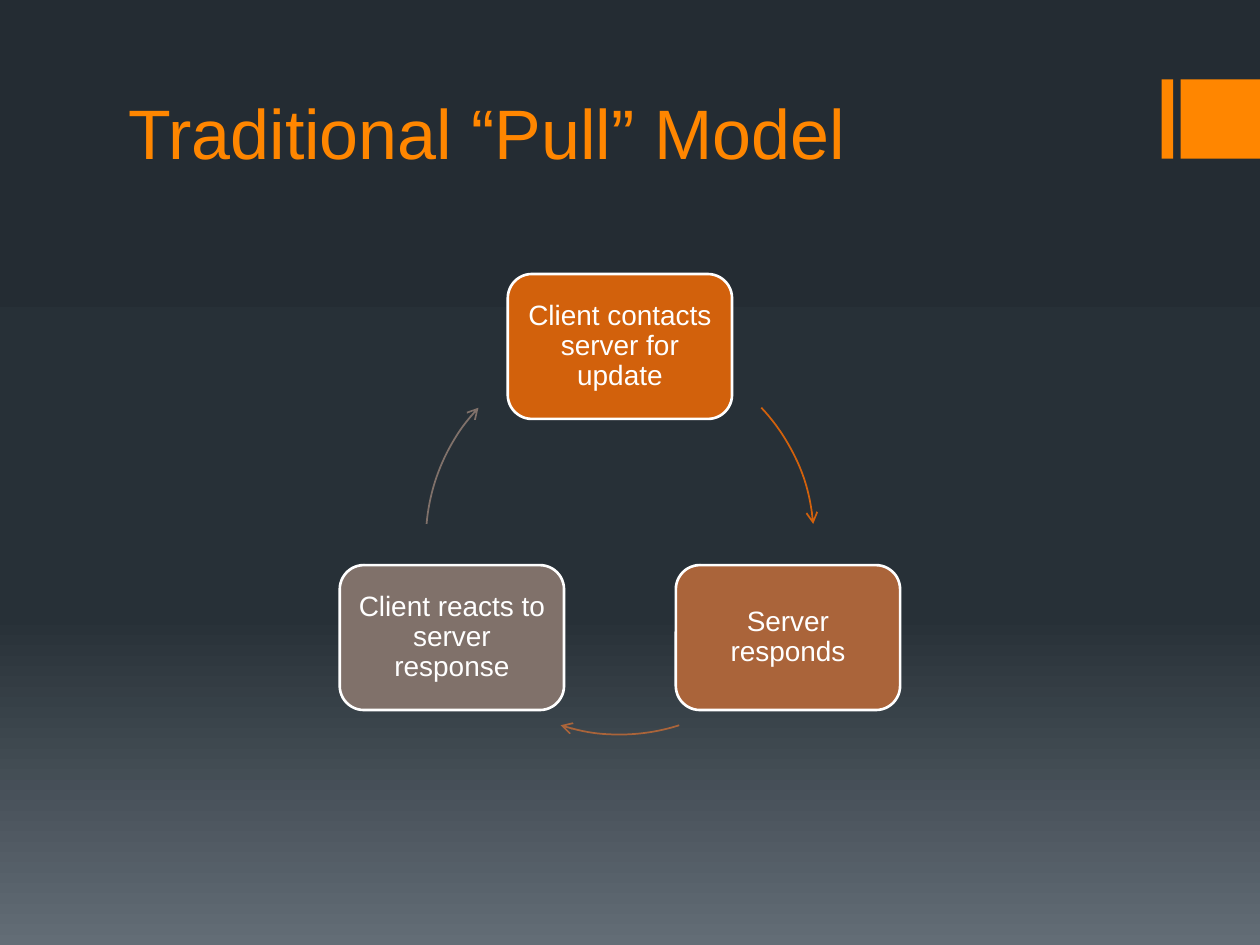
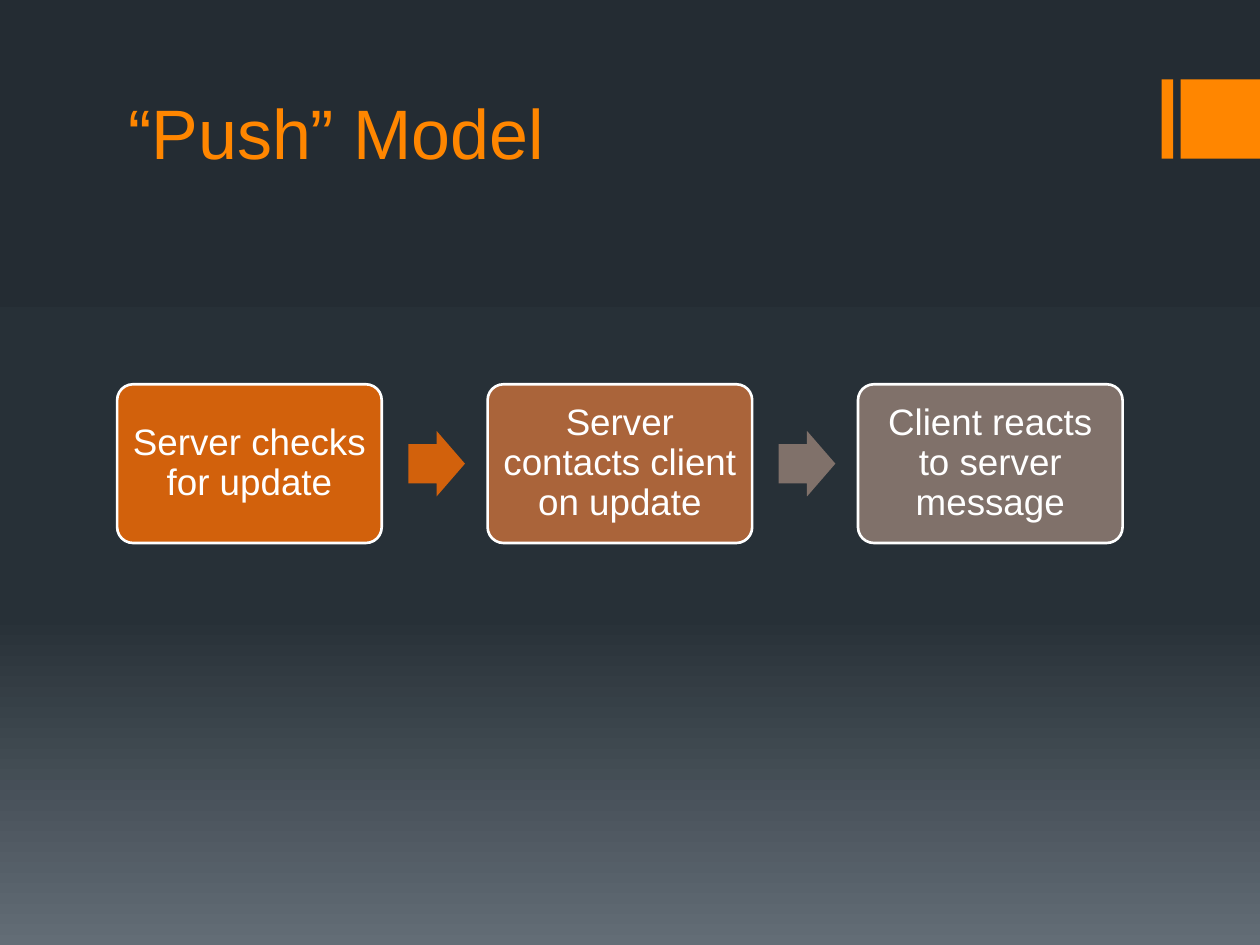
"""Build two slides that compare the pull and push update models."""
from copy import deepcopy
from dataclasses import dataclass
from math import cos, radians, sin

from lxml import etree
from pptx import Presentation
from pptx.dml.color import RGBColor
from pptx.enum.shapes import MSO_SHAPE
from pptx.enum.text import MSO_ANCHOR, PP_ALIGN
from pptx.oxml.ns import qn
from pptx.util import Inches, Pt

ARC = MSO_SHAPE.ARC
RECTANGLE = MSO_SHAPE.RECTANGLE
ROUNDED = MSO_SHAPE.ROUNDED_RECTANGLE
RIGHT_ARROW = MSO_SHAPE.RIGHT_ARROW
LEFT, CENTER = PP_ALIGN.LEFT, PP_ALIGN.CENTER
MIDDLE, BOTTOM = MSO_ANCHOR.MIDDLE, MSO_ANCHOR.BOTTOM
ADJUSTMENT_PER_DEGREE = 0.6


@dataclass(frozen=True)
class Theme:
    """Colours, font and type sizes shared by the slides."""
    font: str = "Arial"
    accent: str = "FF8600"
    white: str = "FFFFFF"
    steps: tuple = ("D2610C", "AA643A", "80716A")
    background: tuple = ((0, "242C33"), (0.65, "273037"), (1, "636D76"))
    title_size: int = 40
    cycle_size: int = 16
    process_size: int = 21


THEME = Theme()


def rgb(code):
    """Turn a hex code into a colour."""
    return RGBColor.from_string(code)


def write_text(shape, text, *, size, color=THEME.white, align=CENTER,
               anchor=MIDDLE, inset=None, line_spacing=None):
    """Put one formatted paragraph into a shape."""
    frame = shape.text_frame
    frame.word_wrap = True
    frame.vertical_anchor = anchor
    if inset is not None:
        frame.margin_left = frame.margin_right = Inches(inset)
        frame.margin_top = frame.margin_bottom = Inches(inset)
    paragraph = frame.paragraphs[0]
    paragraph.alignment = align
    if line_spacing:
        paragraph.line_spacing = line_spacing
    run = paragraph.add_run()
    run.text = text
    run.font.name = THEME.font
    run.font.size = Pt(size)
    run.font.color.rgb = rgb(color)


def add_block(slide, kind, left, top, width, height, color,
              outline=None, adjustments=()):
    """Add a filled preset shape, outlined if a colour is given."""
    shape = slide.shapes.add_shape(
        kind, Inches(left), Inches(top), Inches(width), Inches(height))
    shape.shadow.inherit = False
    shape.fill.solid()
    shape.fill.fore_color.rgb = rgb(color)
    if outline:
        shape.line.color.rgb = rgb(outline)
        shape.line.width = Pt(1.5)
    else:
        shape.line.fill.background()
    for index, value in enumerate(adjustments):
        shape.adjustments[index] = value
    return shape


def add_step(slide, text, left, top, width, height, color, *, size, inset,
             adjustments=()):
    """Add a rounded step box with its label."""
    box = add_block(slide, ROUNDED, left, top, width, height, color,
                    THEME.white, adjustments)
    write_text(box, text, size=size, inset=inset, line_spacing=0.9)


def add_arc_arrow(slide, center_x, center_y, radius, start, end, color):
    """Draw a clockwise arc with an open arrowhead; angles in degrees."""
    arc = slide.shapes.add_shape(
        ARC, Inches(center_x - radius), Inches(center_y - radius),
        Inches(2 * radius), Inches(2 * radius))
    arc.adjustments[0] = start * ADJUSTMENT_PER_DEGREE
    arc.adjustments[1] = end * ADJUSTMENT_PER_DEGREE
    arc.shadow.inherit = False
    arc.fill.background()
    arc.line.color.rgb = rgb(color)
    arc.line.width = Pt(1)
    line = arc.element.spPr.find(qn("a:ln"))
    etree.SubElement(line, qn("a:tailEnd"), type="arrow")


def paint_background(slide):
    """Fill the slide with the vertical three-stop gradient."""
    fill = slide.background.fill
    fill.gradient()
    fill.gradient_angle = 270
    stop_list = slide.element.xpath(".//a:gsLst")[0]
    stop_list.append(deepcopy(stop_list[-1]))
    for stop, (position, color) in zip(fill.gradient_stops, THEME.background):
        stop.position = position
        stop.color.rgb = rgb(color)


def add_base_slide(presentation, title):
    """Add a slide with background, corner bars and title."""
    slide = presentation.slides.add_slide(presentation.slide_layouts[6])
    paint_background(slide)
    for left, width in ((9.22, 0.09), (9.37, 0.63)):
        add_block(slide, RECTANGLE, left, 0.63, width, 0.63, THEME.accent)
    box = slide.shapes.add_textbox(
        Inches(0.92), Inches(0.17), Inches(8), Inches(1.26))
    write_text(box, title, size=THEME.title_size, color=THEME.accent,
               align=LEFT, anchor=BOTTOM)
    return slide


def add_cycle(slide, labels):
    """Place three steps around a circle, joined by arc arrows."""
    center_x, center_y, radius = 4.92, 4.29, 1.54
    width, height = 1.78, 1.15
    arcs = ((316.8, 355.1), (72.2, 107.8), (184.9, 223.2))
    for index, (label, color) in enumerate(zip(labels, THEME.steps)):
        angle = radians(-90 + index * 360 / len(labels))
        add_step(slide, label,
                 center_x + radius * cos(angle) - width / 2,
                 center_y + radius * sin(angle) - height / 2,
                 width, height, color, size=THEME.cycle_size, inset=0.07)
        add_arc_arrow(slide, center_x, center_y, radius, *arcs[index], color)


def add_process(slide, labels):
    """Place steps in a row with a block arrow in each gap."""
    first_left, top, width, height, pitch = 0.93, 3.05, 2.1, 1.26, 2.94
    arrow_width, arrow_height = 0.45, 0.52
    arrow_colors = (THEME.steps[0], THEME.steps[2])
    for index, (label, color) in enumerate(zip(labels, THEME.steps)):
        left = first_left + index * pitch
        add_step(slide, label, left, top, width, height, color,
                 size=THEME.process_size, inset=0.07, adjustments=(0.1,))
        if index < len(arrow_colors):
            add_block(slide, RIGHT_ARROW, left + width + 0.21,
                      top + (height - arrow_height) / 2,
                      arrow_width, arrow_height, arrow_colors[index],
                      adjustments=(0.6, 0.5))


def main():
    """Build both slides and save the presentation."""
    presentation = Presentation()
    presentation.slide_width = Inches(10)
    presentation.slide_height = Inches(7.5)

    pull = add_base_slide(presentation, "Traditional “Pull” Model")
    add_cycle(pull, ("Client contacts server for update",
                     "Server responds",
                     "Client reacts to server response"))

    push = add_base_slide(presentation, "“Push” Model")
    add_process(push, ("Server checks for update",
                       "Server contacts client on update",
                       "Client reacts to server message"))

    presentation.save("out.pptx")


main()
